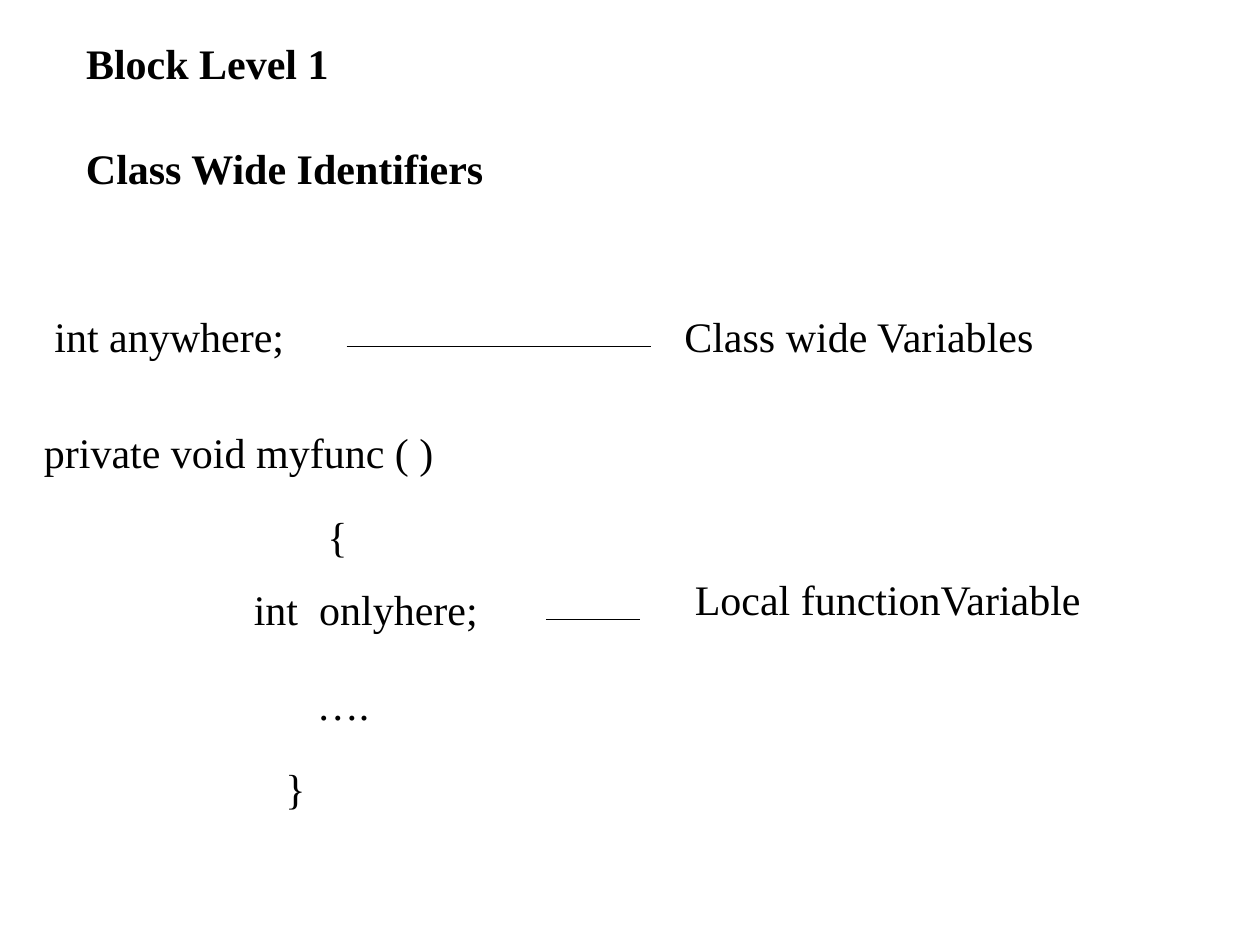
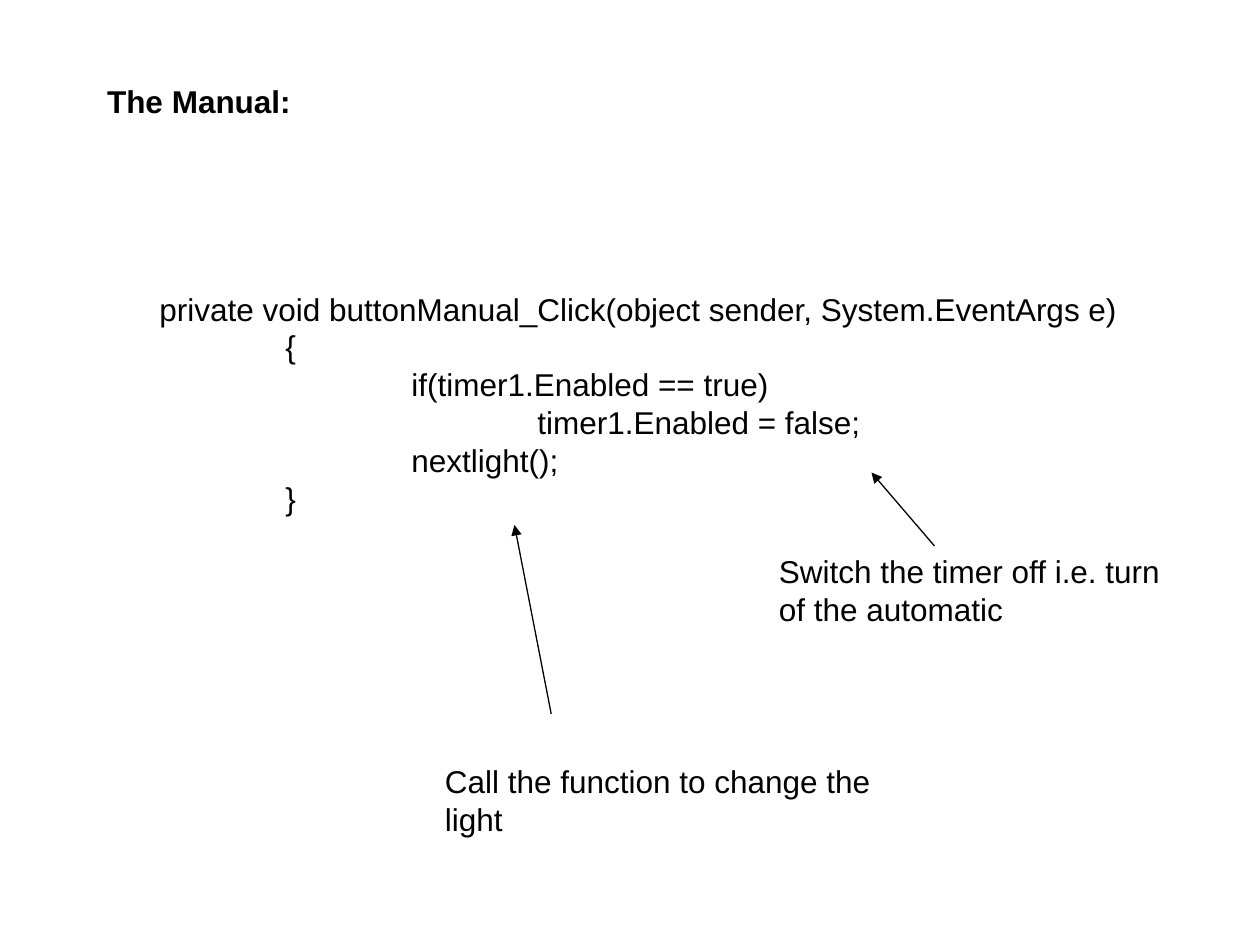
from dataclasses import dataclass

from lxml import etree
from pptx import Presentation
from pptx.dml.color import RGBColor
from pptx.enum.shapes import MSO_CONNECTOR
from pptx.enum.text import MSO_ANCHOR, MSO_AUTO_SIZE, PP_ALIGN
from pptx.oxml.ns import qn
from pptx.util import Inches, Pt

STRAIGHT = MSO_CONNECTOR.STRAIGHT
TOP, LEFT = MSO_ANCHOR.TOP, PP_ALIGN.LEFT
GROW = MSO_AUTO_SIZE.SHAPE_TO_FIT_TEXT
TITLE_ONLY = 5


@dataclass(frozen=True)
class Theme:
    ink: RGBColor = RGBColor(0, 0, 0)
    serif: tuple = ("Times New Roman", Pt(24))
    sans: tuple = ("Arial", Pt(18))
    line: int = Pt(0.75)


theme = Theme()

prs = Presentation()
prs.slide_width, prs.slide_height = Inches(10), Inches(7.5)
U = prs.slide_width // 120  # grid of 120 columns by 90 rows
TAB = 12 * U


def write(sp, at, lines, face, bold=False, wrap=True):
    """Place a text shape on the grid and fill it, one paragraph a line."""
    sp.left, sp.top, sp.width, sp.height = (int(n * U) for n in at)
    tf = sp.text_frame
    tf.word_wrap, tf.auto_size, tf.vertical_anchor = wrap, GROW, TOP
    for i, line in enumerate(lines):
        p = tf.add_paragraph() if i else tf.paragraphs[0]
        p.alignment = LEFT
        if "\t" in line:
            tabs = etree.SubElement(p._p.get_or_add_pPr(), qn("a:tabLst"))
            for stop in range(1, 5):
                etree.SubElement(tabs, qn("a:tab"), pos=str(stop * TAB), algn="l")
        r = p.add_run()
        r.text = line
        r.font.name, r.font.size = face
        r.font.bold = bold
        r.font.color.rgb = theme.ink


def link(s, ends, arrow=False):
    """Draw a thin line between two grid points, with an optional arrowhead."""
    cx = s.shapes.add_connector(STRAIGHT, *(int(n * U) for n in ends))
    cx.line.color.rgb = theme.ink
    cx.line.width = theme.line
    if arrow:
        etree.SubElement(cx.line._get_or_add_ln(), qn("a:tailEnd"), type="triangle")
    etree.SubElement(cx._element.spPr, qn("a:effectLst"))


# Slide 1: class wide and local identifiers
s = prs.slides.add_slide(prs.slide_layouts[TITLE_ONLY])
write(s.shapes.title, (7, 3, 43, 6), ["Block Level 1"], theme.serif, bold=True)
subtitle = s.shapes.add_textbox(0, 0, 0, 0)
write(subtitle, (7, 13, 76, 6), ["Class Wide Identifiers"], theme.serif, bold=True)

# Code pieces and their labels: column, row, width, text
pieces = [
    (4, 29, 27, "int anywhere;"),
    (64, 29, 41, "Class wide Variables"),
    (3, 40, 58, "private void myfunc ( )"),
    (30, 48, 6, "{"),
    (23, 55, 24, "int  onlyhere;"),
    (65, 54, 43, "Local functionVariable"),
    (29, 64, 25, "…."),
    (26, 72, 5, "}"),
]
for col, row, width, text in pieces:
    write(s.shapes.add_textbox(0, 0, 0, 0), (col, row, width, 6), [text], theme.serif)

for start, end, row in [(33, 62, 33), (52, 61, 59)]:
    link(s, (start, row, end, row))

# Slide 2: the manual button handler
s = prs.slides.add_slide(prs.slide_layouts[TITLE_ONLY])
write(s.shapes.title, (9, 7.2, 66, 4.8), ["The Manual:"], theme.sans, bold=True)

code = [
    "\tprivate void buttonManual_Click(object sender, System.EventArgs e)",
    "\t\t{",
    "\t\t\tif(timer1.Enabled == true)",
    "\t\t\t\ttimer1.Enabled = false;",
    "\t\t\tnextlight();",
    "\t\t}",
]
write(s.shapes.add_textbox(0, 0, 0, 0), (2, 27, 111, 22.8), code, theme.sans)

# Notes on the code, each with its arrow
notes = [
    ((73, 52, 40.7, 8.4), "Switch the timer off i.e. turn of the automatic", True, (89, 52, 83, 45)),
    ((41.2, 72, 49.2, 4.8), "Call the function to change the light", False, (52.5, 68, 49, 50)),
]
for at, text, wrap, arrow in notes:
    write(s.shapes.add_textbox(0, 0, 0, 0), at, [text], theme.sans, wrap=wrap)
    link(s, arrow, arrow=True)

prs.save("out.pptx")
